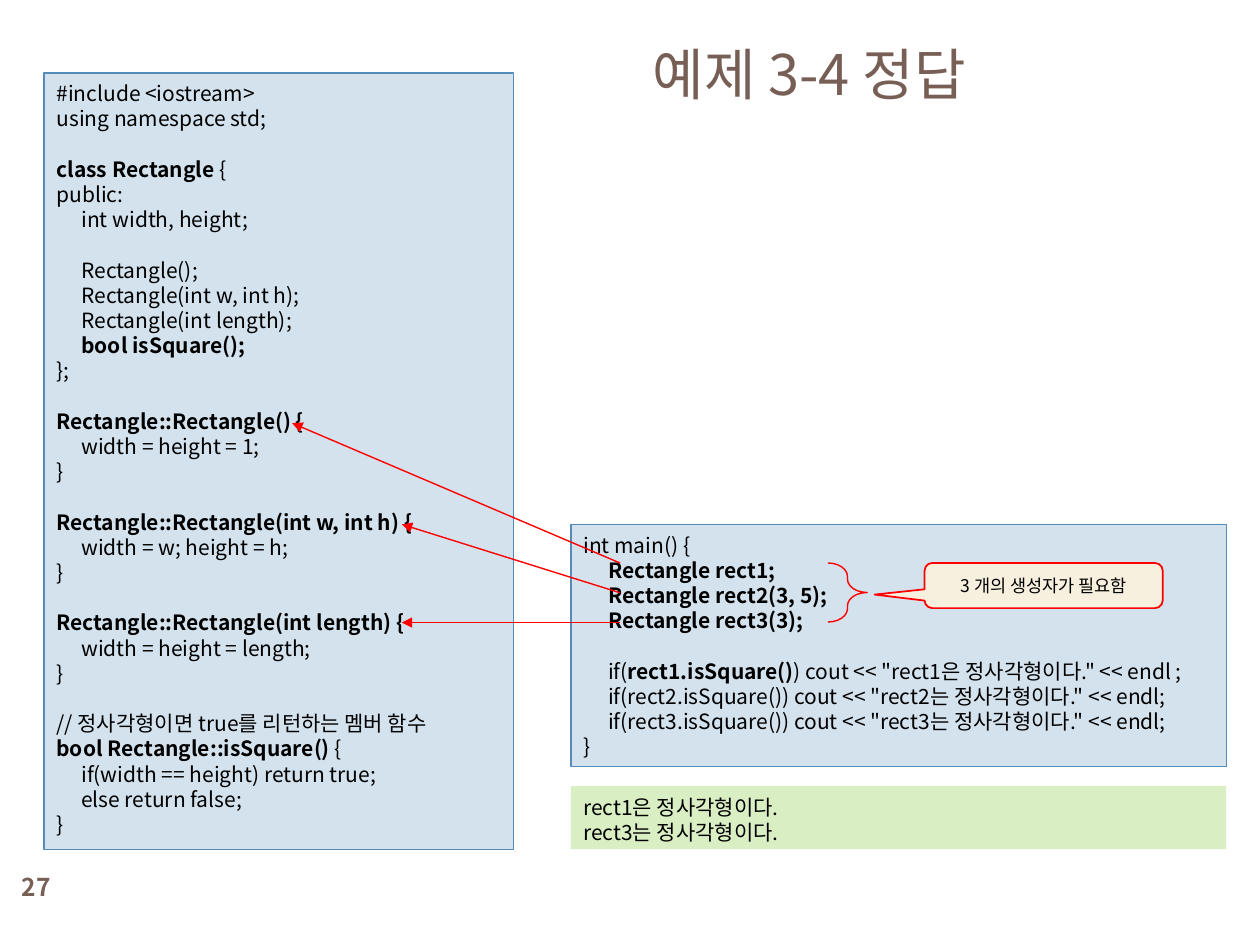
"""Build a slide on the constructors of a Rectangle class."""
from lxml import etree
from pptx import Presentation, util as u
from pptx.dml.color import RGBColor
from pptx.enum import shapes, text
from pptx.oxml import ns

CODE = """#include <iostream>
using namespace std;

*class Rectangle *{
public:
\tint width, height;

\tRectangle();
\tRectangle(int w, int h);
\tRectangle(int length);
\t*bool isSquare();*
};

*Rectangle::Rectangle() {*
\twidth = height = 1;
}

*Rectangle::Rectangle(int w, int h) {*
\twidth = w; height = h;
}

*Rectangle::Rectangle(int length) {*
\twidth = height = length;
}

// 정사각형이면 true를 리턴하는 멤버 함수
*bool Rectangle::isSquare() *{
\tif(width == height) return true;
\telse return false;
}"""

MAIN = """int main() {
\t*Rectangle rect1;*
\t*Rectangle rect2(3, 5);*
\t*Rectangle rect3(3);*

\tif(*rect1.isSquare()*) cout << "rect1은 정사각형이다." << endl ;
\tif(rect2.isSquare()) cout << "rect2는 정사각형이다." << endl;
\tif(rect3.isSquare()) cout << "rect3는 정사각형이다." << endl;
}"""

OUTPUT = """rect1은 정사각형이다.
rect3는 정사각형이다."""


def tint(code):
    return RGBColor.from_string(code)


def child(node, tag, **attrs):
    return etree.SubElement(node, ns.qn(tag), **attrs)


class Deck:
    font = "Noto Sans CJK KR"
    brown, black, red = "775F55", "000000", "FF0000"
    blue, edge, green, cream = "D4E2ED", "558BB8", "DAEEC4", "F7F0DE"
    pitch = u.Pt(14.4)

    def __init__(self):
        self.show = Presentation()
        self.show.slide_width, self.show.slide_height = u.Cm(25.4), u.Cm(19.05)
        self.slide = self.show.slides.add_slide(self.show.slide_layouts[5])

    def run(self, para, words, size, color, bold=False):
        run = para.add_run()
        run.text = words
        run.font.name, run.font.size, run.font.bold = self.font, u.Pt(size), bold
        run.font.color.rgb = tint(color)
        child(run.font._element, "a:ea", typeface=self.font)

    def label(self, frame, words, size, color, align, bold=False):
        frame.word_wrap = True
        frame.vertical_anchor = text.MSO_ANCHOR.MIDDLE
        frame.paragraphs[0].alignment = align
        self.run(frame.paragraphs[0], words, size, color, bold)

    def title(self, words, *box):
        item = self.slide.shapes.title
        item.left, item.top, item.width, item.height = map(u.Cm, box)
        self.label(item.text_frame, words, 32, self.brown, text.PP_ALIGN.LEFT)

    def number(self, words, *box):
        item = self.slide.shapes.add_textbox(*map(u.Cm, box))
        self.label(item.text_frame, words, 14, self.brown, text.PP_ALIGN.CENTER, True)

    def shape(self, kind, box, fill=None, line=None, width=0.75, adjust=()):
        item = self.slide.shapes.add_shape(kind, *map(u.Cm, box))
        item.shadow.inherit = False
        if fill:
            item.fill.solid()
            item.fill.fore_color.rgb = tint(fill)
        else:
            item.fill.background()
        if line:
            item.line.color.rgb = tint(line)
            item.line.width = u.Pt(width)
        else:
            item.line.fill.background()
        for spot, value in enumerate(adjust):
            item.adjustments[spot] = value
        return item

    def code(self, words, *box, fill, line=None):
        frame = self.shape(shapes.MSO_SHAPE.RECTANGLE, box, fill, line).text_frame
        frame.word_wrap = True
        frame.vertical_anchor = text.MSO_ANCHOR.TOP
        frame.margin_top = u.Pt(4.5)
        para, gap = None, False
        for row in words.split("\n"):
            if not row:
                gap = True
                continue
            para = frame.add_paragraph() if para else frame.paragraphs[0]
            tabs = child(para._p.get_or_add_pPr(), "a:tabLst")
            child(tabs, "a:tab", pos=str(u.Cm(0.5)), algn="l")
            para.alignment = text.PP_ALIGN.LEFT
            para.line_spacing = self.pitch
            para.space_before = self.pitch if gap else u.Pt(0)
            gap = False
            for spot, part in enumerate(row.split("*")):
                if part:
                    self.run(para, part, 12, self.black, spot % 2 == 1)

    def callout(self, words, *box):
        kind = shapes.MSO_SHAPE.ROUNDED_RECTANGULAR_CALLOUT
        item = self.shape(kind, box, self.cream, self.red, 1, (-0.71, 0.2, 0.17))
        self.label(item.text_frame, words, 10, self.black, text.PP_ALIGN.CENTER)

    def brace(self, *box):
        kind = shapes.MSO_SHAPE.RIGHT_BRACE
        self.shape(kind, box, line=self.red, width=0.79, adjust=(0.34, 0.5))

    def arrow(self, *ends):
        kind = shapes.MSO_CONNECTOR.STRAIGHT
        item = self.slide.shapes.add_connector(kind, *map(u.Cm, ends))
        item.line.color.rgb = tint(self.red)
        item.line.width = u.Pt(0.79)
        props = item._element.spPr
        child(props.find(ns.qn("a:ln")), "a:tailEnd", type="triangle")
        child(props, "a:effectLst")

    def save(self):
        self.show.save("out.pptx")


def main():
    deck = Deck()
    deck.number("27", 0, 17.35, 1.47, 1.07)
    deck.title("예제 3-4 정답", 12.9, 0.53, 11.46, 1.88)
    deck.code(CODE, 0.89, 1.47, 9.47, 15.65, fill=deck.blue, line=deck.edge)
    deck.code(MAIN, 11.51, 10.57, 13.21, 4.88, fill=deck.blue, line=deck.edge)
    deck.code(OUTPUT, 11.51, 15.85, 13.21, 1.27, fill=deck.green)
    deck.callout("3 개의 생성자가 필요함", 18.64, 11.35, 4.8, 0.91)
    deck.brace(16.69, 11.35, 0.79, 1.19)
    for start, *tip in ((11.35, 5.89, 8.53), (11.95, 8.1, 10.57), (12.55, 8.1, 12.55)):
        deck.arrow(12.5, start, *tip)
    deck.save()


if __name__ == "__main__":
    main()
